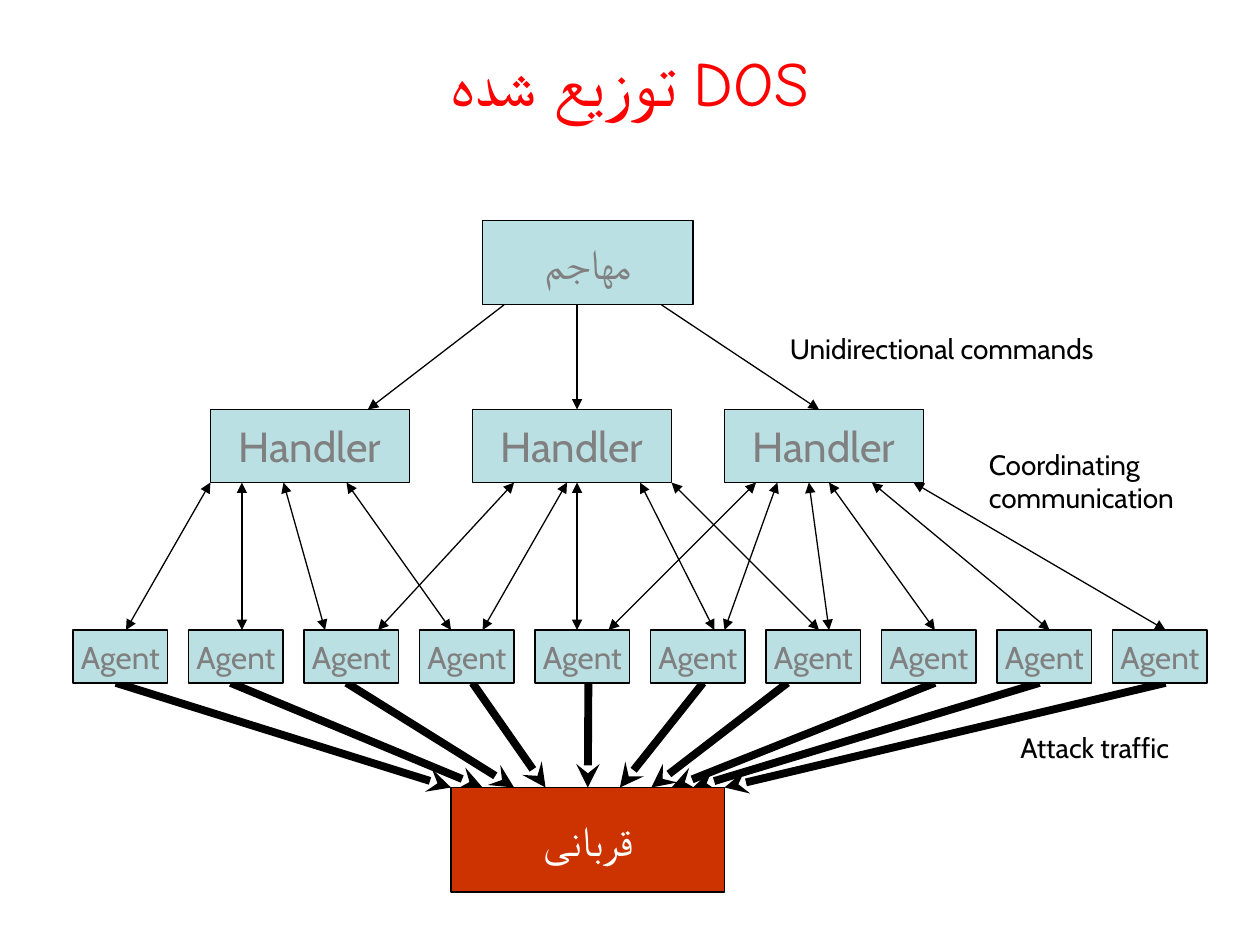
from typing import NamedTuple

from lxml import etree
from pptx import Presentation
from pptx.dml.color import RGBColor
from pptx.enum.shapes import MSO_CONNECTOR, MSO_SHAPE
from pptx.enum.text import MSO_ANCHOR, PP_ALIGN
from pptx.oxml.ns import qn
from pptx.util import Inches, Pt

RECTANGLE = MSO_SHAPE.RECTANGLE
STRAIGHT = MSO_CONNECTOR.STRAIGHT
MIDDLE = MSO_ANCHOR.MIDDLE
CENTER = PP_ALIGN.CENTER

BODY_FONT, TITLE_FONT = "Cabin", "Comic Neue"
BLACK, GREY, WHITE, RED = "000000", "808080", "FFFFFF", "FF0000"
PALE_BLUE, BRICK = "BBE0E3", "CC3300"

# Edges of the four levels, top to bottom
ATTACKER_TOP, ATTACKER_BOTTOM = 1.75, 2.42
HANDLER_TOP, HANDLER_BOTTOM = 3.25, 3.83
AGENT_TOP, AGENT_BOTTOM = 5.0, 5.42
VICTIM_TOP, VICTIM_BOTTOM = 6.25, 7.08

AGENT_COUNT = 10
FIRST_AGENT, LAST_AGENT = 0.58, 8.83
AGENT_PITCH = (LAST_AGENT - FIRST_AGENT) / (AGENT_COUNT - 1)


class Node(NamedTuple):
    label: str
    left: float
    top: float
    width: float
    bottom: float
    size: int = 24
    fill: str = PALE_BLUE
    color: str = GREY


class Note(NamedTuple):
    label: str
    left: float
    top: float
    width: float
    height: float


class ArrowStyle(NamedTuple):
    width: float
    tail: str
    head: str | None = None


class Link(NamedTuple):
    start: float
    end: float


COMMAND = ArrowStyle(0.75, "triangle")
COORDINATION = ArrowStyle(0.75, "triangle", "triangle")
ATTACK = ArrowStyle(4.5, "stealth")

ATTACKER = Node("مهاجم", 3.83, ATTACKER_TOP, 1.67, ATTACKER_BOTTOM)
VICTIM = Node("قربانی", 3.58, VICTIM_TOP, 2.17, VICTIM_BOTTOM, fill=BRICK, color=WHITE)
HANDLERS = [Node("Handler", left, HANDLER_TOP, 1.58, HANDLER_BOTTOM)
            for left in (1.67, 3.75, 5.75)]
AGENTS = [Node("Agent", FIRST_AGENT + i * AGENT_PITCH, AGENT_TOP, 0.75, AGENT_BOTTOM, size=18)
          for i in range(AGENT_COUNT)]

NOTES = [
    Note("Unidirectional commands", 6.17, 2.58, 3.08, 0.37),
    Note("Coordinating communication", 7.75, 3.5, 2.08, 0.64),
    Note("Attack traffic", 8, 5.75, 1.58, 0.37),
]

# Horizontal positions of each link: upper end, lower end
COMMAND_LINKS = [Link(4, 2.92), Link(4.58, 4.58), Link(5.25, 6.5)]
COORDINATION_LINKS = [
    Link(1.67, 1), Link(1.92, 1.92), Link(2.25, 2.58), Link(2.75, 3.58),
    Link(4.08, 3), Link(4.5, 3.83), Link(4.58, 4.58), Link(5.08, 5.67), Link(5.33, 6.5),
    Link(6, 4.83), Link(6.17, 5.75), Link(6.42, 6.58), Link(6.58, 7.42),
    Link(6.92, 8.33), Link(7.25, 9.25),
]
CENTRAL_ATTACK = Link(4.67, 4.67)
ATTACK_LINKS = [
    Link(0.92, 3.58), Link(1.83, 3.83), Link(2.75, 4.08), Link(3.75, 4.33),
    Link(5.58, 4.92), Link(6.25, 5.17), Link(7.42, 5.33), Link(8.25, 5.5), Link(9.25, 5.75),
]


def rgb(value: str) -> RGBColor:
    return RGBColor.from_string(value)


def style_run(run, size: int, color: str, font: str = BODY_FONT) -> None:
    run.font.name = font
    run.font.size = Pt(size)
    run.font.color.rgb = rgb(color)


def add_node(shapes, node: Node):
    box = shapes.add_shape(RECTANGLE, Inches(node.left), Inches(node.top),
                           Inches(node.width), Inches(node.bottom - node.top))
    box.shadow.inherit = False
    box.fill.solid()
    box.fill.fore_color.rgb = rgb(node.fill)
    box.line.color.rgb = rgb(BLACK)
    box.line.width = Pt(0.75)
    frame = box.text_frame
    frame.word_wrap = False
    frame.vertical_anchor = MIDDLE
    frame.text = node.label
    paragraph = frame.paragraphs[0]
    paragraph.alignment = CENTER
    style_run(paragraph.runs[0], node.size, node.color)
    return box


def add_note(shapes, note: Note) -> None:
    box = shapes.add_textbox(Inches(note.left), Inches(note.top),
                             Inches(note.width), Inches(note.height))
    frame = box.text_frame
    frame.word_wrap = True
    frame.text = note.label
    style_run(frame.paragraphs[0].runs[0], 16, BLACK)


def add_arrow(shapes, link: Link, top: float, bottom: float, style: ArrowStyle):
    arrow = shapes.add_connector(STRAIGHT, Inches(link.start), Inches(top),
                                 Inches(link.end), Inches(bottom))
    arrow.line.color.rgb = rgb(BLACK)
    arrow.line.width = Pt(style.width)
    line = arrow.line._get_or_add_ln()
    if style.head:
        etree.SubElement(line, qn("a:headEnd"), type=style.head)
    etree.SubElement(line, qn("a:tailEnd"), type=style.tail)
    etree.SubElement(arrow._element.spPr, qn("a:effectLst"))
    return arrow


def add_title(shapes) -> None:
    box = shapes.add_textbox(Inches(0.5), Inches(0), Inches(9), Inches(1.25))
    frame = box.text_frame
    frame.word_wrap = True
    frame.vertical_anchor = MIDDLE
    paragraph = frame.paragraphs[0]
    paragraph.alignment = CENTER
    paragraph._p.get_or_add_pPr().set("rtl", "1")
    for words, size in (("DOS", 36), (" توزیع شده", 40)):
        run = paragraph.add_run()
        run.text = words
        style_run(run, size, RED, TITLE_FONT)


def main() -> None:
    presentation = Presentation()
    presentation.slide_width, presentation.slide_height = Inches(10), Inches(7.5)
    shapes = presentation.slides.add_slide(presentation.slide_layouts[6]).shapes

    add_title(shapes)

    # Arrows that run behind the boxes
    for link in ATTACK_LINKS:
        add_arrow(shapes, link, AGENT_BOTTOM, VICTIM_TOP, ATTACK)
    for link in COMMAND_LINKS:
        add_arrow(shapes, link, ATTACKER_BOTTOM, HANDLER_TOP, COMMAND)

    # Attacker, handlers, agents and victim
    for node in (ATTACKER, *HANDLERS, *AGENTS):
        add_node(shapes, node)
    victim = add_node(shapes, VICTIM)

    # Arrows in front of the boxes
    for link in COORDINATION_LINKS:
        add_arrow(shapes, link, HANDLER_BOTTOM, AGENT_TOP, COORDINATION)
    central = add_arrow(shapes, CENTRAL_ATTACK, AGENT_BOTTOM, VICTIM_TOP, ATTACK)
    central.end_connect(victim, 0)

    # Notes beside the levels
    for note in NOTES:
        add_note(shapes, note)

    presentation.save("out.pptx")


if __name__ == "__main__":
    main()
